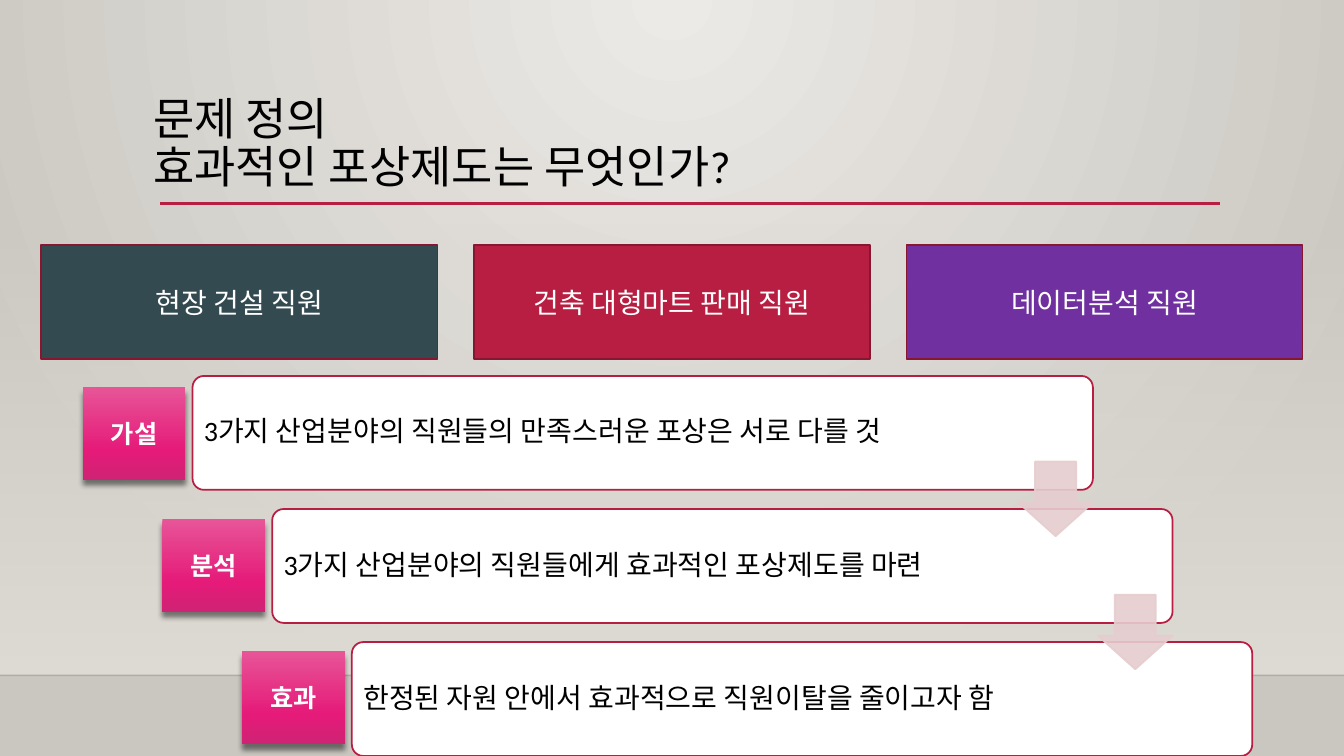
from lxml import etree
from pptx import Presentation
from pptx.dml.color import RGBColor
from pptx.enum.shapes import MSO_CONNECTOR, MSO_SHAPE
from pptx.enum.text import MSO_ANCHOR, MSO_AUTO_SIZE, PP_ALIGN
from pptx.oxml.ns import qn
from pptx.util import Pt

RECTANGLE = MSO_SHAPE.RECTANGLE
ROUNDED = MSO_SHAPE.ROUNDED_RECTANGLE
DOWN_ARROW = MSO_SHAPE.DOWN_ARROW
STRAIGHT = MSO_CONNECTOR.STRAIGHT
TOP, MIDDLE = MSO_ANCHOR.TOP, MSO_ANCHOR.MIDDLE
LEFT, CENTER = PP_ALIGN.LEFT, PP_ALIGN.CENTER
NO_AUTOFIT = MSO_AUTO_SIZE.NONE

EMU_PER_PX = 9144
FONT = "Calibri"
COLORS = {
    "background_light": "ECEAE7", "background_dark": "CAC7C1",
    "haze": "DFDBD5", "floor": "000001", "black": "000000", "white": "FFFFFF",
    "crimson": "B71E42", "dark_crimson": "871631", "slate": "334A51",
    "purple": "7030A0", "arrow": "E6CDCF",
    "pink_light": "E75597", "pink": "E51A79", "pink_dark": "CF2374",
}
GROUPS = [("현장 건설 직원", "slate"), ("건축 대형마트 판매 직원", "crimson"),
          ("데이터분석 직원", "purple")]
STEPS = [("가설", "3가지 산업분야의 직원들의 만족스러운 포상은 서로 다를 것"),
         ("분석", "3가지 산업분야의 직원들에게 효과적인 포상제도를 마련"),
         ("효과", "한정된 자원 안에서 효과적으로 직원이탈을 줄이고자 함")]
PINK_STOPS = [(0, "pink_light", 100), (69, "pink", 100), (100, "pink_dark", 100)]
HAZE_STOPS = [(0, "haze", 0), (100, "haze", 100)]
BACKGROUND_STOPS = [(0, "background_light", 100), (100, "background_dark", 100)]


def px(length):
    return length * EMU_PER_PX


def rgb(name):
    return RGBColor.from_string(COLORS[name])


def add_element(parent, tag, **attributes):
    values = {key: str(value) for key, value in attributes.items()}
    return etree.SubElement(parent, qn(tag), values)


def set_alpha(fill_parent, percent):
    for color in fill_parent.findall(f"{qn('a:solidFill')}/{qn('a:srgbClr')}"):
        add_element(color, "a:alpha", val=percent * 1000)


def set_gradient(fill, properties, stops, circle=None):
    fill.background()
    gradient = etree.Element(qn("a:gradFill"), rotWithShape="1")
    stop_list = add_element(gradient, "a:gsLst")
    for position, name, alpha in stops:
        stop = add_element(stop_list, "a:gs", pos=position * 1000)
        color = add_element(stop, "a:srgbClr", val=COLORS[name])
        if alpha < 100:
            add_element(color, "a:alpha", val=alpha * 1000)
    if circle:
        shading = add_element(gradient, "a:path", path="circle")
        edges = {edge: value * 1000 for edge, value in zip("ltrb", circle)}
        add_element(shading, "a:fillToRect", **edges)
    else:
        add_element(gradient, "a:lin", ang=5400000, scaled=0)
    properties.replace(properties.find(qn("a:noFill")), gradient)


def write_text(frame, text, size=20, color="white", bold=False, align=CENTER,
               anchor=MIDDLE, spacing=None, inset=10):
    frame.word_wrap = True
    frame.auto_size = NO_AUTOFIT
    frame.vertical_anchor = anchor
    frame.margin_left = frame.margin_right = px(inset)
    frame.margin_top = frame.margin_bottom = px(5)
    paragraph = frame.paragraphs[0]
    paragraph.text = text
    paragraph.alignment = align
    paragraph.line_spacing = spacing
    for run in paragraph.runs:
        run.font.name = FONT
        run.font.size = Pt(size)
        run.font.bold = bold
        run.font.color.rgb = rgb(color)


class SlideBuilder:
    def __init__(self, presentation):
        self.slide = presentation.slides.add_slide(presentation.slide_layouts[5])

    def background(self, stops, circle):
        fill = self.slide.background.fill
        fill.background()
        properties = self.slide.element.find(f".//{qn('p:bgPr')}")
        set_gradient(fill, properties, stops, circle)

    def title(self, text, left, top, width, height):
        title = self.slide.shapes.title
        title.left, title.top = px(left), px(top)
        title.width, title.height = px(width), px(height)
        write_text(title.text_frame, text, size=32, color="black", align=LEFT,
                   anchor=TOP, spacing=0.9)

    def shape(self, kind, left, top, width, height, fill, line=None, alpha=100,
              adjustments=()):
        shape = self.slide.shapes.add_shape(
            kind, px(left), px(top), px(width), px(height))
        shape.shadow.inherit = False
        for index, value in enumerate(adjustments):
            shape.adjustments[index] = value
        properties = shape.element.spPr
        if isinstance(fill, list):
            set_gradient(shape.fill, properties, fill)
        else:
            shape.fill.solid()
            shape.fill.fore_color.rgb = rgb(fill)
        if line:
            shape.line.color.rgb = rgb(line)
            shape.line.width = Pt(1.25)
        else:
            shape.line.fill.background()
        if alpha < 100:
            set_alpha(properties, alpha)
            set_alpha(properties.find(qn("a:ln")), alpha)
        return shape

    def rule(self, left, right, y, color, weight, alpha=100):
        rule = self.slide.shapes.add_connector(
            STRAIGHT, px(left), px(y), px(right), px(y))
        rule.line.color.rgb = rgb(color)
        rule.line.width = Pt(weight)
        properties = rule.element.spPr
        if alpha < 100:
            set_alpha(properties.find(qn("a:ln")), alpha)
        add_element(properties, "a:effectLst")

    def group_box(self, text, left, color):
        box = self.shape(RECTANGLE, left, 243, 393, 113, color, "dark_crimson")
        write_text(box.text_frame, text)

    def step_box(self, text, left, top):
        box = self.shape(ROUNDED, left, top, 893, 113, "white", "crimson",
                         adjustments=[0.1])
        write_text(box.text_frame, text, color="black", align=LEFT,
                   spacing=0.9, inset=8)

    def step_arrow(self, left, top):
        self.shape(DOWN_ARROW, left, top, 74, 74, "arrow", "arrow", alpha=90,
                   adjustments=[0.55, 0.45])

    def step_tag(self, text, left, top):
        tag = self.shape(RECTANGLE, left, top, 102, 92, PINK_STOPS)
        effects = tag.element.spPr.find(qn("a:effectLst"))
        shadow = add_element(effects, "a:outerShdw", blurRad=Pt(4), dist=Pt(4),
                             dir=5400000, rotWithShape=0)
        color = add_element(shadow, "a:srgbClr", val=COLORS["black"])
        add_element(color, "a:alpha", val=48000)
        write_text(tag.text_frame, text, size=18, bold=True)


def main():
    presentation = Presentation()
    presentation.slide_width = px(1333)
    presentation.slide_height = px(750)
    builder = SlideBuilder(presentation)
    builder.background(BACKGROUND_STOPS, circle=(43, 0, 43, 100))
    builder.shape(RECTANGLE, 0, 221, 1333, 449, HAZE_STOPS)
    builder.rule(0, 1333, 670, "floor", 1, alpha=20)
    builder.rule(159, 1210, 202, "crimson", 2.5)
    builder.title("문제 정의\v효과적인 포상제도는 무엇인가?", 142, 91, 1050, 115)

    for index, (text, color) in enumerate(GROUPS):
        builder.group_box(text, 41 + 429 * index, color)
    for index, (tag, text) in enumerate(STEPS):
        builder.step_box(text, 191 + 79 * index, 373 + 132 * index)
        builder.step_tag(tag, 82 + 79 * index, 384 + 131 * index)
    for index in range(len(STEPS) - 1):
        builder.step_arrow(1010 + 79 * index, 458 + 132 * index)
    presentation.save("out.pptx")


if __name__ == "__main__":
    main()
